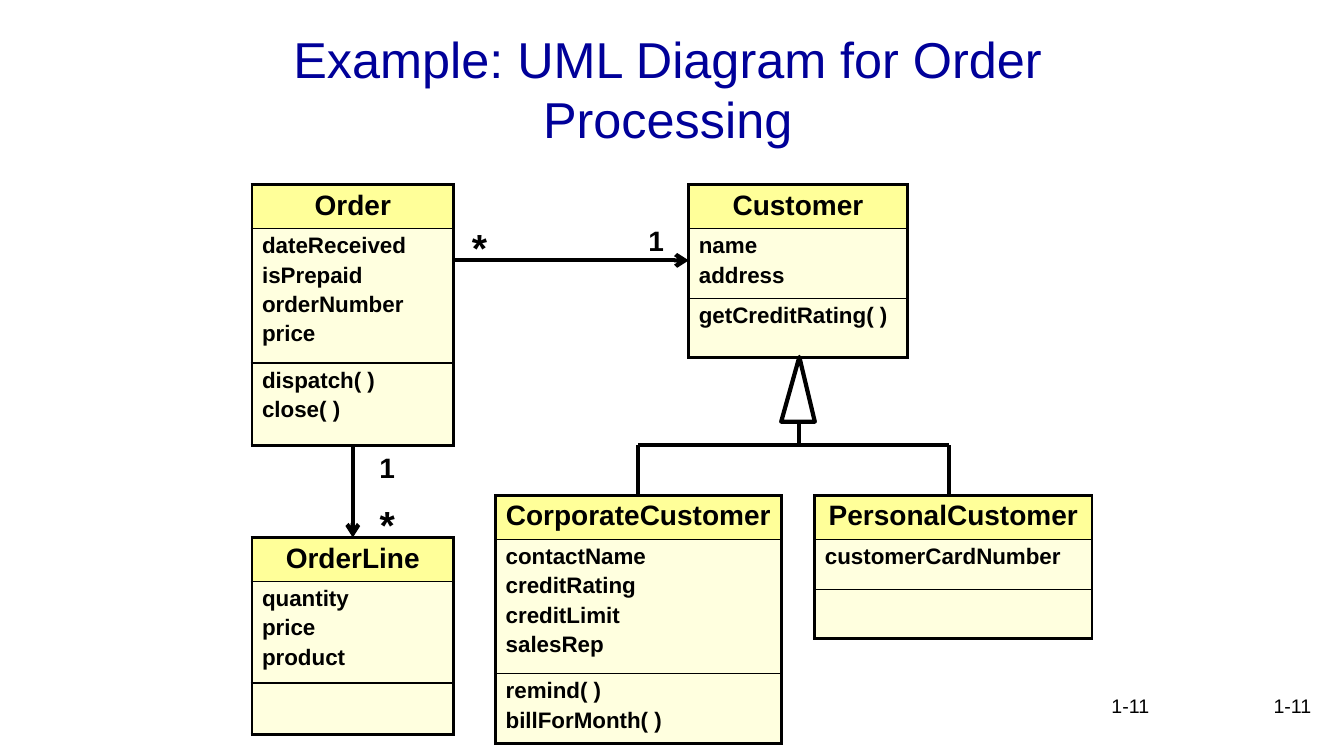
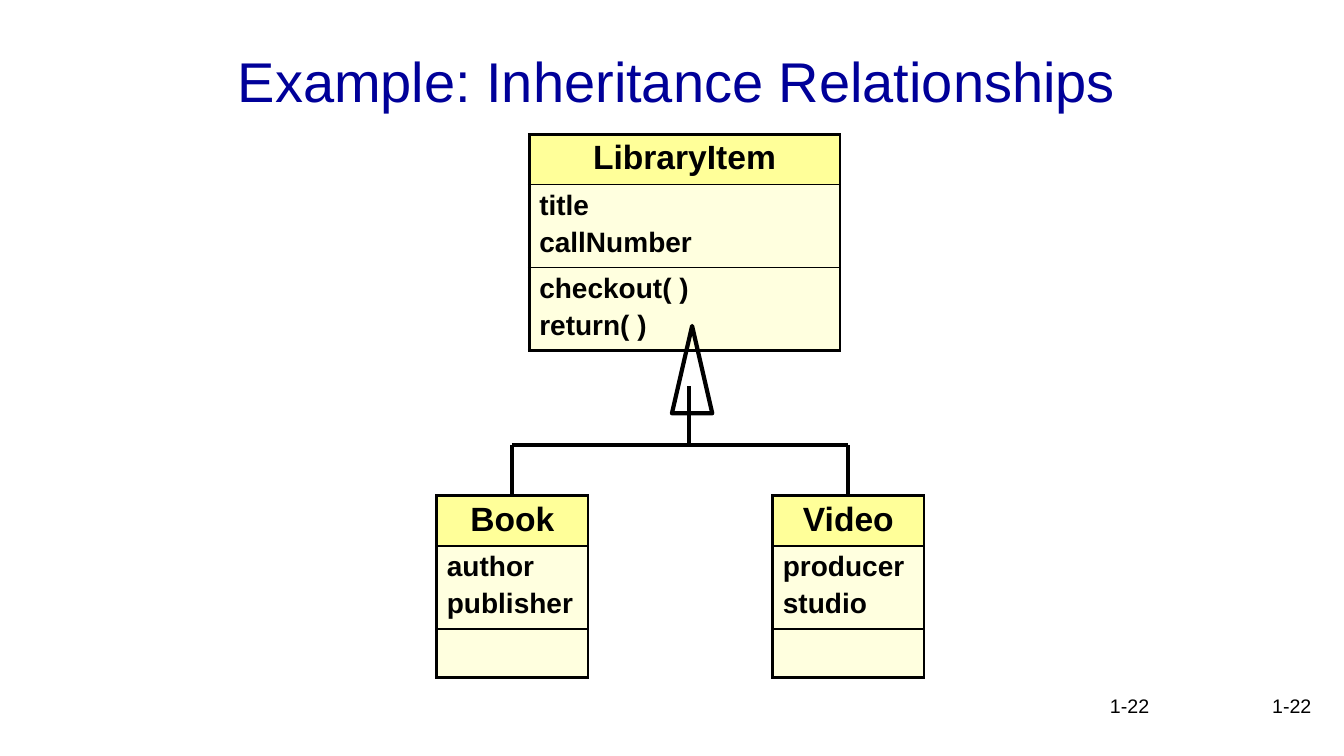
from dataclasses import dataclass

from lxml.etree import SubElement
from pptx import Presentation
from pptx.dml.color import RGBColor
from pptx.enum.shapes import MSO_CONNECTOR as Connector, MSO_SHAPE as Shape
from pptx.enum.text import MSO_ANCHOR as Anchor, MSO_AUTO_SIZE as AutoSize, PP_ALIGN as Align
from pptx.oxml.ns import qn
from pptx.util import Inches, Pt


@dataclass(frozen=True)
class Theme:
    font: str = "Arial"
    ink: str = "000000"
    title: str = "000099"
    header_fill: str = "FFFF99"
    body_fill: str = "FFFFDF"
    number_size: int = 14
    outer_line: float = 2.25
    inner_line: float = 1
    arrow_line: float = 3


THEME = Theme()
COLUMNS, ROWS = 160, 90
CELL = Inches(1) / 12
NUMBER_BOXES = [(124, 82, 33.3, 6), (113, 82, 25, 6)]
BAR_ROW, CHILD_ROW = 53, 59

SLIDES = [
    {
        "title": "Example: UML Diagram for Order Processing",
        "title_box": (27, 3, 105, 15), "title_size": 36, "number": "1-11",
        "name_size": 20, "member_size": 16,
        "classes": [
            ("Order", (30, 22, 24), (5.2, 16, 9.8),
             ["dateReceived", "isPrepaid", "orderNumber", "price"], ["dispatch( )", "close( )"]),
            ("OrderLine", (30, 64, 24), (5.2, 12.1, 6.1),
             ["quantity", "price", "product"], []),
            ("Customer", (82, 22, 26), (5.2, 8.3, 7.1),
             ["name", "address"], ["getCreditRating( )"]),
            ("PersonalCustomer", (97, CHILD_ROW, 33), (5.2, 6, 5.8),
             ["customerCardNumber"], []),
            ("CorporateCustomer", (59, CHILD_ROW, 34), (5.2, 16, 8.3),
             ["contactName", "creditRating", "creditLimit", "salesRep"],
             ["remind( )", "billForMonth( )"]),
        ],
        "inheritance": {"children": (76, 113), "stem": (95.1, 50.2),
                        "triangle": (93, 42.5, 4, 7.7), "apex": 0.54},
        "associations": [((54, 31), (82, 31)), ((42, 53), (42, 64))],
        "multiplicities": [("*", 28, (55, 26, 4, 6.8)), ("*", 28, (44, 59, 4, 6.8)),
                           ("1", 20, (44, 53, 6, 5.2)), ("1", 20, (76, 26, 6, 5.2))],
    },
    {
        "title": "Example: Inheritance Relationships",
        "title_box": (25, 2, 111, 15), "title_size": 40, "number": "1-22",
        "name_size": 24, "member_size": 20,
        "classes": [
            ("LibraryItem", (63, 16, 37), (5.7, 9.3, 9.3),
             ["title", "callNumber"], ["checkout( )", "return( )"]),
            ("Book", (52, CHILD_ROW, 18), (5.7, 9.3, 5.8), ["author", "publisher"], []),
            ("Video", (92, CHILD_ROW, 18), (5.7, 9.3, 5.8), ["producer", "studio"], []),
        ],
        "inheritance": {"children": (61, 101), "stem": (82, 46),
                        "triangle": (80, 38.8, 4.8, 10.4), "apex": 0.5},
        "associations": [],
        "multiplicities": [],
    },
]


def grid(*lengths):
    return [round(length * CELL) for length in lengths]


def color(value):
    return RGBColor.from_string(value)


def write(frame, lines, size, ink=THEME.ink, bold=False, align=Align.LEFT, before=0):
    for index, line in enumerate(lines):
        paragraph = frame.add_paragraph() if index else frame.paragraphs[0]
        paragraph.alignment = align
        if before:
            spacing = SubElement(paragraph._p.get_or_add_pPr(), qn("a:spcBef"))
            SubElement(spacing, qn("a:spcPct"), val=str(before * 1000))
        run = paragraph.add_run()
        run.text = line
        run.font.name = THEME.font
        run.font.size = Pt(size)
        run.font.bold = bold
        run.font.color.rgb = color(ink)


def add_label(slide, text, box, size, **style):
    frame = slide.shapes.add_textbox(*grid(*box)).text_frame
    frame.word_wrap = True
    write(frame, [text], size, **style)


def add_title(slide, text, box, size):
    title = slide.shapes.title
    title.left, title.top, title.width, title.height = grid(*box)
    frame = title.text_frame
    frame.auto_size = AutoSize.NONE
    frame.vertical_anchor = Anchor.MIDDLE
    write(frame, [text], size, ink=THEME.title, align=Align.CENTER)


def set_borders(cell, widths):
    properties = cell._tc.get_or_add_tcPr()
    for side, width in zip("LRTB", widths):
        line = SubElement(properties, qn(f"a:ln{side}"), w=str(Pt(width)))
        fill = SubElement(line, qn("a:solidFill"))
        SubElement(fill, qn("a:srgbClr"), val=THEME.ink)


def add_class(slide, name, place, heights, attributes, operations, name_size, member_size):
    left, top, width = place
    sections = [[name], attributes, operations]
    table = slide.shapes.add_table(len(sections), 1, *grid(left, top, width, sum(heights))).table
    table.first_row = table.horz_banding = False
    outer, inner = THEME.outer_line, THEME.inner_line
    for index, (lines, height) in enumerate(zip(sections, grid(*heights))):
        is_header = index == 0
        is_last = index == len(sections) - 1
        table.rows[index].height = height
        cell = table.cell(index, 0)
        set_borders(cell, (outer, outer, outer if is_header else inner, outer if is_last else inner))
        cell.fill.solid()
        cell.fill.fore_color.rgb = color(THEME.header_fill if is_header else THEME.body_fill)
        write(cell.text_frame, lines, name_size if is_header else member_size, bold=True,
              align=Align.CENTER if is_header else Align.LEFT, before=20)


def add_line(slide, start, end, arrow=False):
    connector = slide.shapes.add_connector(Connector.STRAIGHT, *grid(*start, *end))
    connector.line.color.rgb = color(THEME.ink)
    connector.line.width = Pt(THEME.arrow_line)
    if arrow:
        SubElement(connector.line._get_or_add_ln(), qn("a:tailEnd"), type="arrow")
    SubElement(connector._element.spPr, qn("a:effectLst"))


def add_inheritance(slide, children, stem, triangle, apex):
    for child in children:
        add_line(slide, (child, BAR_ROW), (child, CHILD_ROW))
    add_line(slide, (children[0], BAR_ROW), (children[-1], BAR_ROW))
    add_line(slide, stem, (stem[0], BAR_ROW))
    shape = slide.shapes.add_shape(Shape.ISOSCELES_TRIANGLE, *grid(*triangle))
    shape.adjustments[0] = apex
    shape.shadow.inherit = False
    shape.fill.background()
    shape.line.color.rgb = color(THEME.ink)
    shape.line.width = Pt(THEME.arrow_line)


def add_diagram_slide(presentation, content):
    slide = presentation.slides.add_slide(presentation.slide_layouts.get_by_name("Title Only"))
    add_title(slide, content["title"], content["title_box"], content["title_size"])
    for box in NUMBER_BOXES:
        add_label(slide, content["number"], box, THEME.number_size, align=Align.RIGHT)
    for uml_class in content["classes"]:
        add_class(slide, *uml_class, content["name_size"], content["member_size"])
    for start, end in content["associations"]:
        add_line(slide, start, end, arrow=True)
    add_inheritance(slide, **content["inheritance"])
    for text, size, box in content["multiplicities"]:
        add_label(slide, text, box, size, bold=True, before=50)


def main():
    presentation = Presentation()
    presentation.slide_width, presentation.slide_height = grid(COLUMNS, ROWS)
    for content in SLIDES:
        add_diagram_slide(presentation, content)
    presentation.save("out.pptx")


if __name__ == "__main__":
    main()
